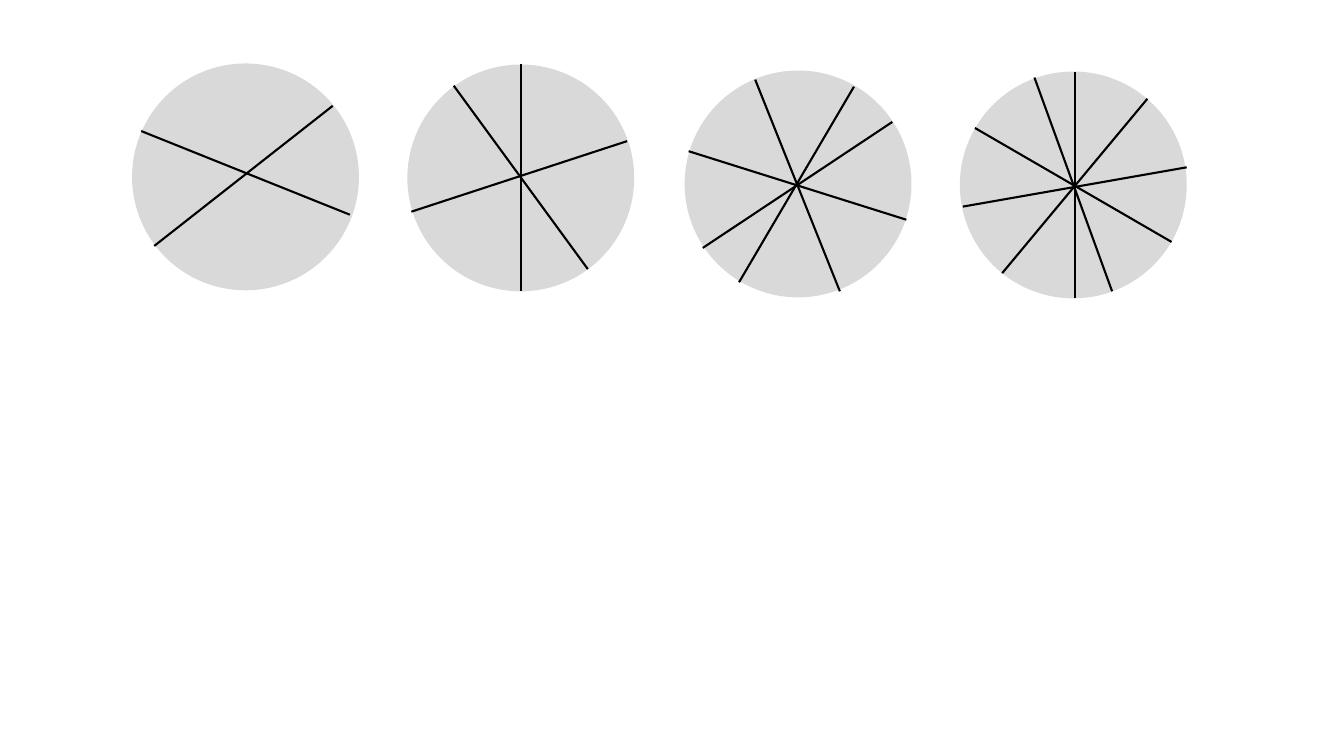
from pptx import Presentation
from pptx.dml.color import RGBColor
from pptx.enum.shapes import MSO_CONNECTOR, MSO_SHAPE
from pptx.oxml.ns import qn
from pptx.util import Inches, Pt
from lxml import etree

ELLIPSE = MSO_SHAPE.OVAL
STRAIGHT = MSO_CONNECTOR.STRAIGHT
COLORS = {"disc": "D9D9D9", "cut": "000000"}
DIAMETER = 2.25

# Each disc: left, top, and its cuts as (x1, y1, x2, y2)
DISCS = [
    (1.31, 0.63, [(1.4, 1.3, 3.47, 2.13), (3.3, 1.05, 1.53, 2.44)]),
    (4.04, 0.64, [(5.17, 2.89, 5.17, 0.64), (4.08, 2.1, 6.22, 1.4),
                  (4.5, 0.85, 5.83, 2.67)]),
    (6.79, 0.7, [(6.97, 2.46, 8.85, 1.21), (6.83, 1.5, 8.99, 2.18),
                 (7.49, 0.79, 8.33, 2.89), (8.47, 0.86, 7.33, 2.8)]),
    (9.52, 0.71, [(10.66, 2.96, 10.66, 0.71), (9.94, 2.71, 11.38, 0.98),
                  (9.55, 2.05, 11.77, 1.66), (9.67, 1.27, 11.62, 2.4),
                  (10.26, 0.77, 11.03, 2.89)]),
]

prs = Presentation()
prs.slide_width = Inches(13.33)
prs.slide_height = Inches(7.5)
s = prs.slides.add_slide(prs.slide_layouts[6])

for left, top, cuts in DISCS:
    group = s.shapes.add_group_shape()

    # Disc
    sp = group.shapes.add_shape(ELLIPSE, Inches(left), Inches(top),
                                Inches(DIAMETER), Inches(DIAMETER))
    sp.shadow.inherit = False
    sp.fill.solid()
    sp.fill.fore_color.rgb = RGBColor.from_string(COLORS["disc"])
    sp.line.fill.background()

    # Cuts through the disc
    for cut in cuts:
        line = group.shapes.add_connector(STRAIGHT, *[Inches(v) for v in cut])
        line.line.color.rgb = RGBColor.from_string(COLORS["cut"])
        line.line.width = Pt(1.5)
        etree.SubElement(line._element.spPr, qn("a:effectLst"))

prs.save("out.pptx")
